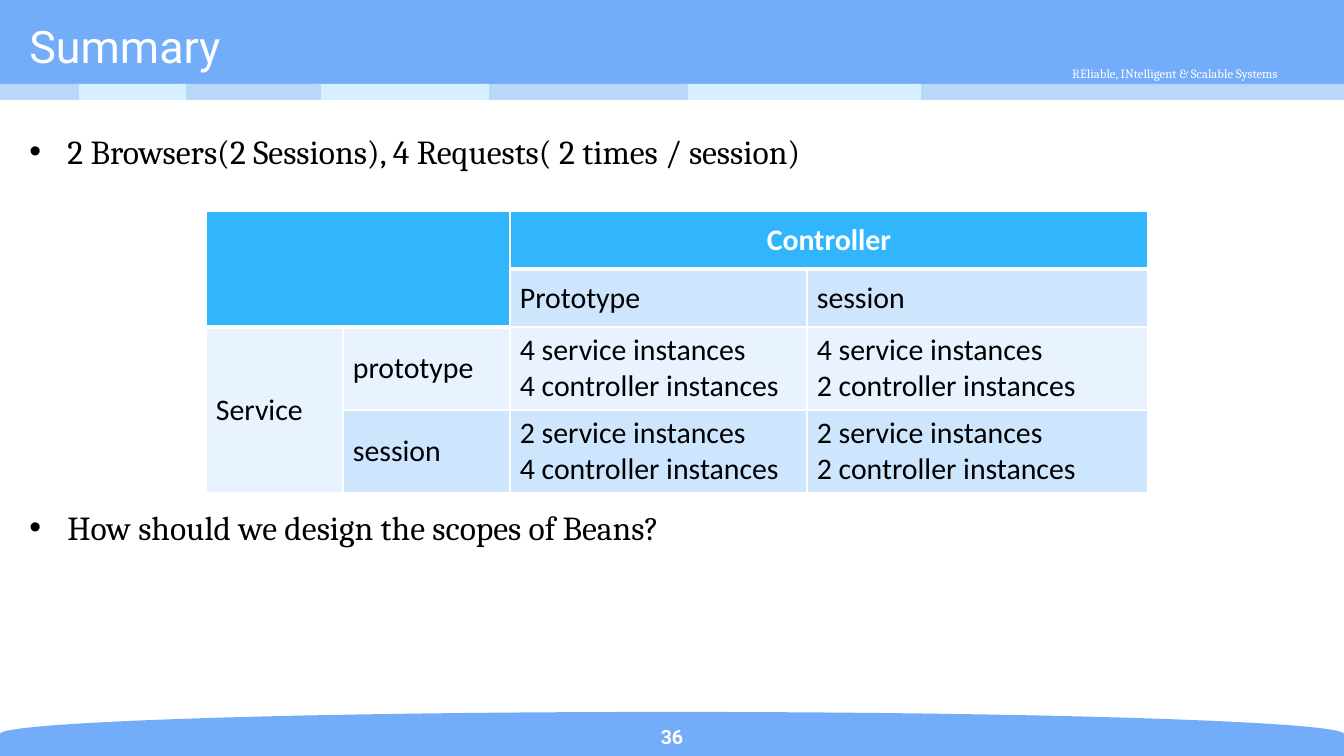
from pptx import Presentation
from pptx.dml.color import RGBColor as RGB
from pptx.enum.shapes import MSO_SHAPE as SHAPE
from pptx.enum.text import MSO_ANCHOR as ANCHOR, MSO_AUTO_SIZE as FIT, PP_ALIGN as ALIGN
from pptx.oxml.ns import qn
from pptx.util import Pt
from lxml.etree import SubElement as Sub, Element

WHITE = RGB(0xFF, 0xFF, 0xFF)
BLACK = RGB(0x00, 0x00, 0x00)
BLUE = RGB(0x73, 0xAC, 0xF8)
SOFT = RGB(0xB9, 0xD6, 0xFB)
ICE = RGB(0xD6, 0xF0, 0xFF)
SKY = RGB(0x31, 0xB6, 0xFD)
PALE = RGB(0xCE, 0xE5, 0xFE)
MIST = RGB(0xE8, 0xF3, 0xFF)


def px(n):
    return round(n * 914400 / 134.4)


class Deck:
    serif, sans, grid = "Cambria", "Roboto", "Calibri"

    def __init__(self):
        self.prs = Presentation()
        self.prs.slide_width, self.prs.slide_height = px(1344), px(756)
        self.slide = self.prs.slides.add_slide(self.prs.slide_layouts[1])

    def place(self, item, box):
        item.left, item.top, item.width, item.height = map(px, box)
        self.slide.shapes._spTree.append(item._element)

    def style(self, frame, font, size, color, bold=False, align=ALIGN.LEFT):
        for par in frame.paragraphs:
            par.alignment = align
            for run in par.runs:
                run.font.name, run.font.size = font, Pt(size)
                run.font.bold, run.font.color.rgb = bold, color

    def shape(self, kind, box, color, turn=0):
        item = self.slide.shapes.add_shape(kind, *map(px, box))
        item.shadow.inherit = False
        item.fill.solid()
        item.fill.fore_color.rgb = color
        item.line.fill.background()
        item.rotation = turn

    def label(self, text, box, font, size, bold=False):
        frame = self.slide.shapes.add_textbox(*map(px, box)).text_frame
        frame.word_wrap = True
        frame.vertical_anchor = ANCHOR.MIDDLE
        frame.text = text
        self.style(frame, font, size, WHITE, bold, ALIGN.CENTER)

    def title(self, text, box):
        item = self.slide.shapes.title
        self.place(item, box)
        frame = item.text_frame
        frame.text = text
        frame.auto_size = FIT.NONE
        frame.vertical_anchor = ANCHOR.MIDDLE
        self.style(frame, self.sans, 24, WHITE)

    def body(self, lines, box, gap):
        item = self.slide.placeholders[1]
        self.place(item, box)
        frame = item.text_frame
        frame.text = "\n".join(lines)
        frame.auto_size = FIT.NONE
        for i, par in enumerate(frame.paragraphs):
            par.space_before = Pt(gap if i else 0)
            props = par._p.get_or_add_pPr()
            props.set("marL", str(px(38)))
            props.set("indent", str(-px(38)))
            Sub(props, qn("a:buFont"), typeface="Arial")
            Sub(props, qn("a:buChar"), char="•")
        self.style(frame, self.serif, 18, BLACK)

    def edge(self, cell, low):
        props = cell._tc.get_or_add_tcPr()
        for i, side in enumerate("LRTB"):
            width = low if side == "B" else 1
            line = Element(qn("a:ln" + side), w=str(Pt(width)))
            fill = Sub(line, qn("a:solidFill"))
            Sub(fill, qn("a:srgbClr"), val=str(WHITE))
            props.insert(i, line)

    def table(self, rows, spans, spot, cols, highs):
        size = sum(cols), sum(highs)
        item = self.slide.shapes.add_table(len(rows), len(cols), *map(px, (*spot, *size)))
        table = item.table
        table.first_row = table.horz_banding = False
        for col, wide in zip(table.columns, cols):
            col.width = px(wide)
        for row, high in zip(table.rows, highs):
            row.height = px(high)
        for top, left, end, right in spans:
            table.cell(top, left).merge(table.cell(end, right))
        for r, row in enumerate(rows):
            for c, text in enumerate(row):
                cell = table.cell(r, c)
                head = r == 0 or (r == 1 and c < 2)
                cell.fill.solid()
                cell.fill.fore_color.rgb = SKY if head else PALE if r % 2 else MIST
                cell.vertical_anchor = ANCHOR.MIDDLE
                cell.margin_left = cell.margin_right = px(10)
                cell.margin_top = cell.margin_bottom = px(5)
                self.edge(cell, 3 if head else 1)
                if text:
                    cell.text = text
                    self.style(cell.text_frame, self.grid, 16, WHITE if head else BLACK,
                               head, ALIGN.CENTER if head else ALIGN.LEFT)

    def save(self):
        self.prs.save("out.pptx")


def count(beans, hubs):
    return f"{beans} service instances\n{hubs} controller instances"


def main():
    deck = Deck()
    deck.shape(SHAPE.FLOWCHART_DELAY, (650, 62, 44, 1344), BLUE, 270)
    deck.shape(SHAPE.RECTANGLE, (0, 0, 1344, 87), BLUE)
    deck.label("REliable, INtelligent & Scalable Systems", (1011, 59, 328, 28), deck.serif, 6.8)
    bars = [(910, 434), (683, 238), (482, 206), (314, 175), (179, 142), (74, 112), (0, 79)]
    for i, (left, wide) in enumerate(bars):
        deck.shape(SHAPE.RECTANGLE, (left, 84, wide, 16), ICE if i % 2 else SOFT)
    deck.title("Summary", (16, 16, 1003, 60))
    deck.body(["2 Browsers(2 Sessions), 4 Requests( 2 times / session)",
               "How should we design the scopes of Beans?"], (16, 124, 1292, 579), 180)
    deck.label("36", (598, 719, 148, 35), deck.sans, 10.5, True)
    deck.table([["", "", "Controller", ""],
                ["", "", "Prototype", "session"],
                ["Service", "prototype", count(4, 4), count(4, 2)],
                ["", "session", count(2, 4), count(2, 2)]],
               [(0, 0, 1, 1), (0, 2, 0, 3), (2, 0, 3, 0)],
               (206, 211), (137, 167, 297, 341), (58, 58, 83, 83))
    deck.save()


if __name__ == "__main__":
    main()
